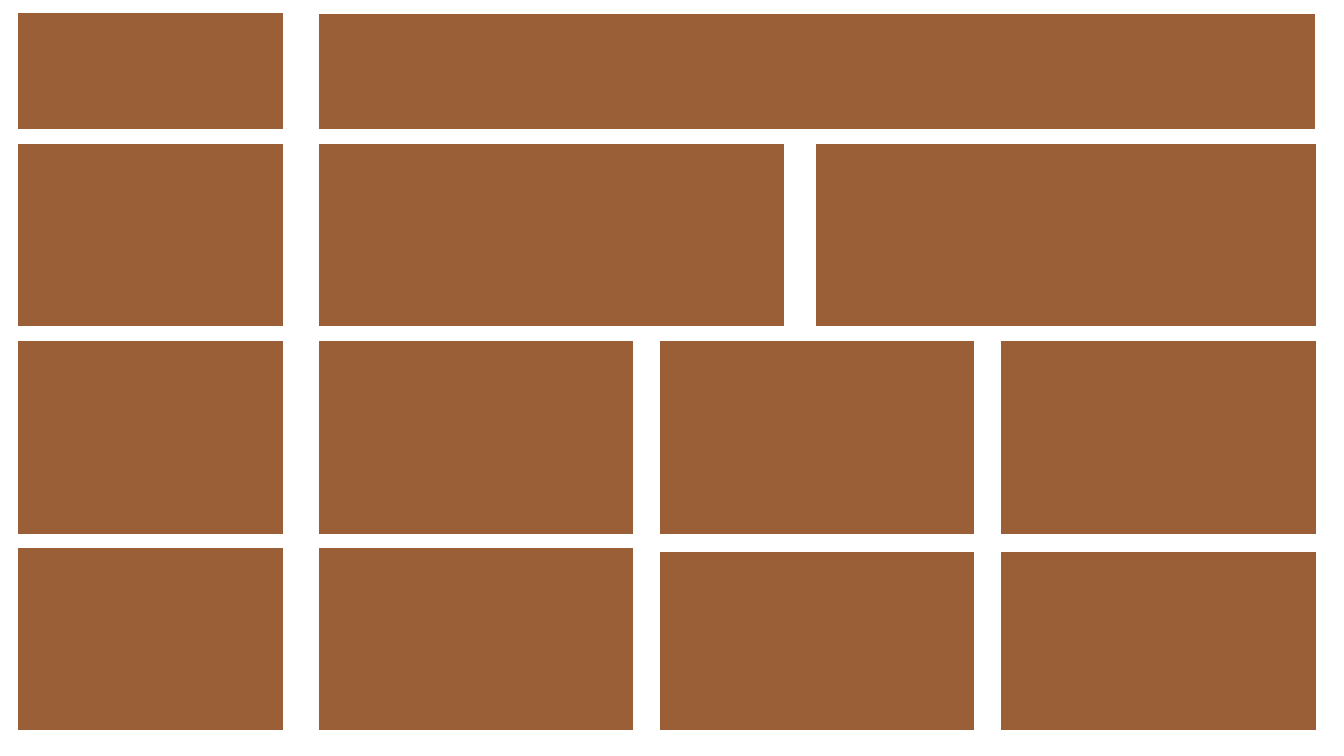
import dataclasses

import lxml.etree
import pptx
import pptx.dml.color
import pptx.enum.dml
import pptx.enum.shapes
import pptx.oxml.ns
import pptx.slide
import pptx.util

Inches = pptx.util.Inches

COLORS = {"brown": "843C0B", "white": "FFFFFF"}
ALPHA = 82
EDGE = {"width": pptx.util.Pt(1.5), "dash_style": pptx.enum.dml.MSO_LINE.SOLID}


@dataclasses.dataclass
class Tile:
    left: float
    width: float
    drop: float = 0  # lowers the top edge, the bottom stays


@dataclasses.dataclass
class Row:
    top: float
    height: float
    tiles: list[Tile]


def thirds(*drops: float) -> list[Tile]:
    """Three equal tiles across the main area."""
    return [Tile(3.15 + 3.385 * i, 3.14, drop) for i, drop in enumerate(drops)]


SIDE = Tile(0.17, 2.65)
ROWS = [
    Row(0.12, 1.17, [SIDE, Tile(3.15, 9.9, 0.01)]),
    Row(1.42, 1.82, [SIDE, Tile(3.15, 4.64), Tile(8.08, 4.98)]),
    Row(3.37, 1.94, [SIDE, *thirds(0, 0, 0)]),
    Row(5.43, 1.82, [SIDE, *thirds(0, 0.04, 0.04)]),
]


def draw_tile(slide: pptx.slide.Slide, row: Row, tile: Tile) -> None:
    """Draw one see-through brown tile with a white edge."""
    shape = slide.shapes.add_shape(
        pptx.enum.shapes.MSO_SHAPE.RECTANGLE,
        Inches(tile.left), Inches(row.top + tile.drop),
        Inches(tile.width), Inches(row.height - tile.drop),
    )
    shape.shadow.inherit = False
    for part, name in ((shape.fill, "brown"), (shape.line.fill, "white")):
        part.solid()
        part.fore_color.rgb = pptx.dml.color.RGBColor.from_string(COLORS[name])
    for key, value in EDGE.items():
        setattr(shape.line, key, value)

    # Fill transparency
    qn = pptx.oxml.ns.qn
    color = shape.fill._xPr.find(qn("a:solidFill")).find(qn("a:srgbClr"))
    lxml.etree.SubElement(color, qn("a:alpha"), val=str(ALPHA * 1000))


def main() -> None:
    deck = pptx.Presentation()
    deck.slide_width, deck.slide_height = Inches(13.33), Inches(7.5)
    slide = deck.slides.add_slide(deck.slide_layouts.get_by_name("Blank"))

    # Grid of tiles, row by row
    for row in ROWS:
        for tile in row.tiles:
            draw_tile(slide, row, tile)

    deck.save("out.pptx")


if __name__ == "__main__":
    main()
